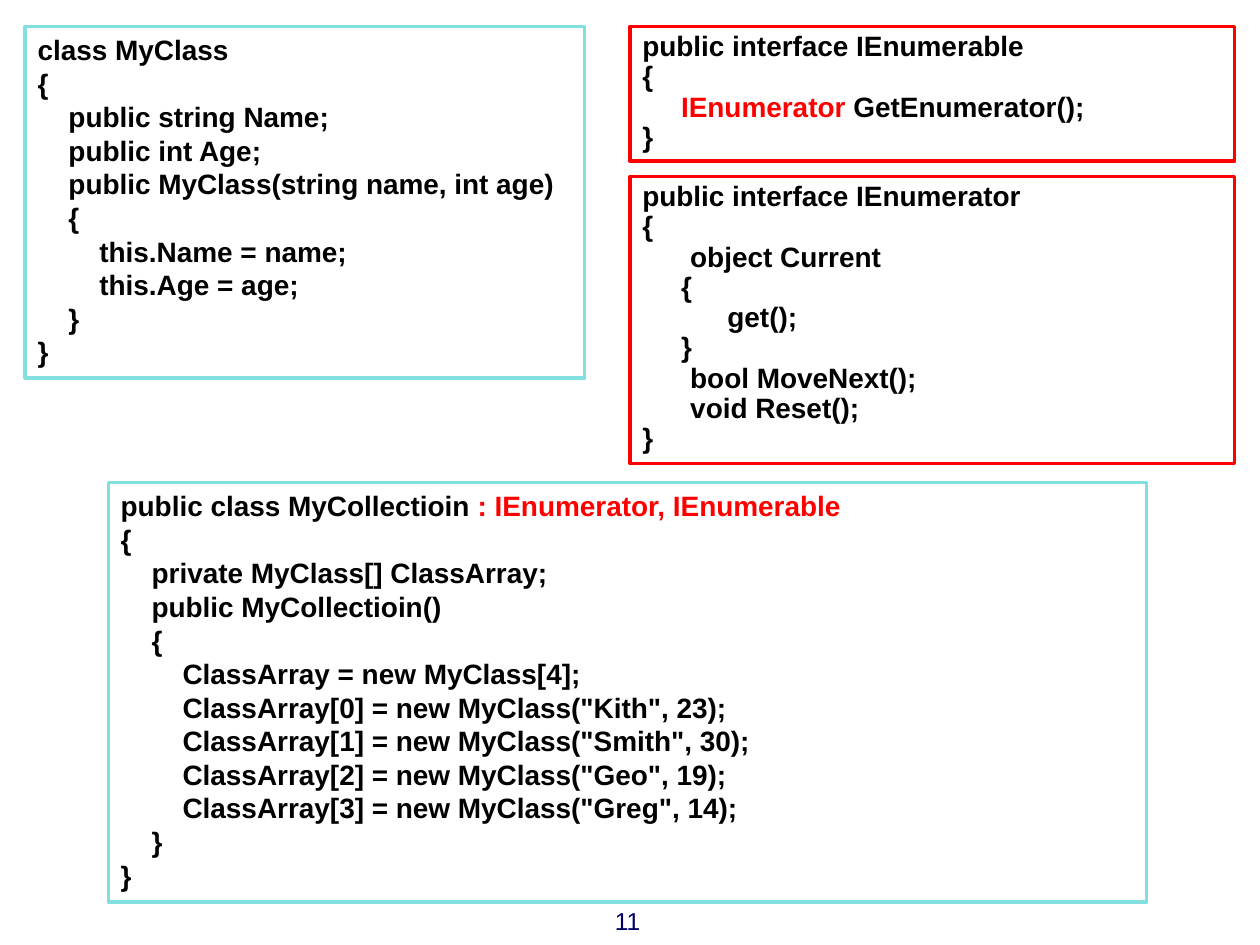
from pptx import Presentation
from pptx.dml.color import RGBColor
from pptx.enum.shapes import MSO_SHAPE
from pptx.enum.text import MSO_ANCHOR, MSO_AUTO_SIZE, PP_ALIGN
from pptx.util import Inches, Pt

BLACK = RGBColor(0x00, 0x00, 0x00)
RED = RGBColor(0xFF, 0x00, 0x00)
TEAL = RGBColor(0x81, 0xDF, 0xDF)
NAVY = RGBColor(0x00, 0x00, 0x66)
FONT = "Arial"

ITEM_CLASS = """class MyClass
{
    public string Name;
    public int Age;
    public MyClass(string name, int age)
    {
        this.Name = name;
        this.Age = age;
    }
}"""

COLLECTION_CLASS = """public class MyCollectioin : IEnumerator, IEnumerable
{
    private MyClass[] ClassArray;
    public MyCollectioin()
    {
        ClassArray = new MyClass[4];
        ClassArray[0] = new MyClass("Kith", 23);
        ClassArray[1] = new MyClass("Smith", 30);
        ClassArray[2] = new MyClass("Geo", 19);
        ClassArray[3] = new MyClass("Greg", 14);
    }
}"""

ENUMERABLE = """public interface IEnumerable
{
     IEnumerator GetEnumerator();
}"""

ENUMERATOR = """public interface IEnumerator
{
\tobject Current
     {
           get();
     }
\tbool MoveNext();
\tvoid Reset();
}"""


def style_font(font, size, color, bold=False):
    font.name = FONT
    font.size = Pt(size)
    font.bold = bold
    font.color.rgb = color


def add_code_line(para, line, highlight):
    parts = line.partition(highlight) if highlight else (line,)
    for part in filter(None, parts):
        span = para.add_run()
        span.text = part
        style_font(span.font, 16, RED if part == highlight else BLACK, True)


def add_code_box(page, box, code, border, highlight="", spacing=None, hanging=0):
    panel = page.shapes.add_shape(MSO_SHAPE.RECTANGLE, *map(Inches, box))
    panel.shadow.inherit = False
    panel.fill.background()
    panel.line.color.rgb = border
    panel.line.width = Pt(2)
    frame = panel.text_frame
    frame.word_wrap = True
    frame.auto_size = MSO_AUTO_SIZE.SHAPE_TO_FIT_TEXT
    frame.vertical_anchor = MSO_ANCHOR.TOP
    for index, line in enumerate(code.splitlines()):
        para = frame.add_paragraph() if index else frame.paragraphs[0]
        para.alignment = PP_ALIGN.LEFT
        para.line_spacing = spacing
        if hanging:
            properties = para._p.get_or_add_pPr()
            properties.set("marL", str(Inches(hanging)))
            properties.set("indent", str(-Inches(hanging)))
        add_code_line(para, line, highlight)


def add_page_number(page, box, number):
    frame = page.shapes.add_textbox(*map(Inches, box)).text_frame
    frame.word_wrap = True
    frame.text = number
    para = frame.paragraphs[0]
    para.alignment = PP_ALIGN.RIGHT
    style_font(para.runs[0].font, 14, NAVY)


def main():
    deck = Presentation()
    deck.slide_width = Inches(10)
    deck.slide_height = Inches(7.5)
    page = deck.slides.add_slide(deck.slide_layouts[6])
    add_page_number(page, (4.45, 7.14, 0.73, 0.21), "11")
    add_code_box(page, (0.2, 0.21, 4.44, 2.79), ITEM_CLASS, TEAL)
    add_code_box(page, (0.86, 3.83, 8.24, 3.33), COLLECTION_CLASS, TEAL,
                 highlight=": IEnumerator, IEnumerable")
    add_code_box(page, (5, 0.21, 4.8, 1.07), ENUMERABLE, RED,
                 highlight="IEnumerator ", spacing=0.9)
    add_code_box(page, (5, 1.4, 4.8, 2.28), ENUMERATOR, RED,
                 spacing=0.9, hanging=0.38)
    deck.save("out.pptx")


if __name__ == "__main__":
    main()
